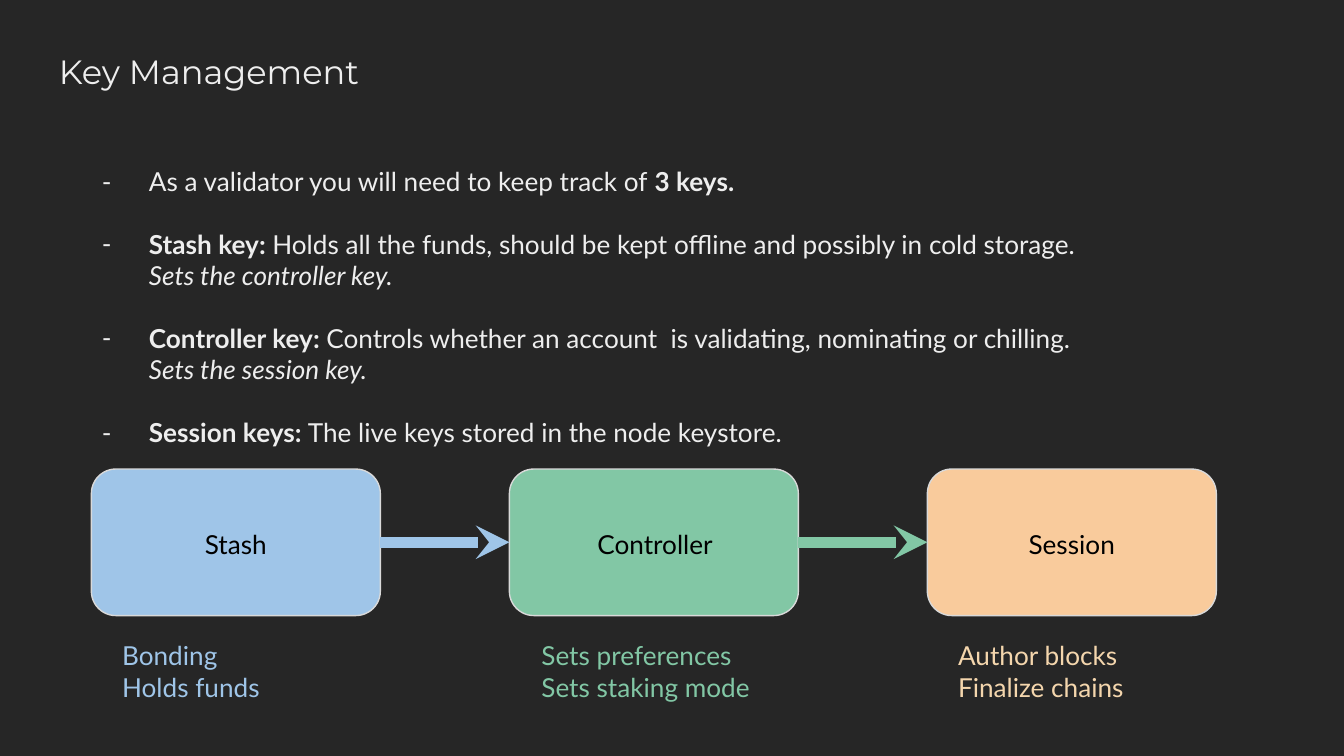
from lxml import etree
from pptx import Presentation
from pptx import util as u
from pptx.dml.color import RGBColor
from pptx.enum import shapes, text
from pptx.oxml.ns import qn


def color(hex_string):
    return RGBColor.from_string(hex_string)


def add_text(slide, box, paragraphs, font_format, hex_string, align=text.PP_ALIGN.LEFT):
    shape = slide.shapes.add_textbox(*[u.Inches(value) for value in box])
    frame = shape.text_frame
    frame_format = {"word_wrap": True, "vertical_anchor": text.MSO_ANCHOR.TOP}
    for side in ("left", "top", "right", "bottom"):
        frame_format["margin_" + side] = u.Inches(0.1)
    for name, value in frame_format.items():
        setattr(frame, name, value)
    for index, runs in enumerate(paragraphs):
        paragraph = frame.paragraphs[0] if index == 0 else frame.add_paragraph()
        paragraph.alignment = align
        for content, style in runs:
            run = paragraph.add_run()
            run.text = content
            for name, value in {**font_format, **style}.items():
                setattr(run.font, name, value)
            run.font.color.rgb = color(hex_string)
    return frame


LIGHT = "EEEEEE"
BOLD = {"bold": True}
ITALIC = {"italic": True}
TITLE_FONT = {"name": "Montserrat", "size": u.Pt(18)}
BODY_FONT = {"name": "Lato", "size": u.Pt(14)}

presentation = Presentation()
presentation.slide_width = u.Inches(10)
presentation.slide_height = u.Inches(10) * 9 // 16
slide = presentation.slides.add_slide(presentation.slide_layouts[6])
slide.background.fill.solid()
slide.background.fill.fore_color.rgb = color("262626")

add_text(slide, (0.34, 0.28, 3.87, 0.76), [[("Key Management", {})]], TITLE_FONT, LIGHT)

key_notes = [
    [("As a validator you will need to keep track of ", {}), ("3 keys.", BOLD)],
    [("Stash key: ", BOLD),
     ("Holds all the funds, should be kept offline and possibly in cold storage.", {})],
    [("Sets the controller key.", ITALIC)],
    [("Controller key: ", BOLD),
     ("Controls whether an account  is validating, nominating or chilling.", {})],
    [("Sets the session key.", ITALIC)],
    [("Session keys:", BOLD), (" The live keys stored in the node keystore.", {})],
]
notes_frame = add_text(slide, (0.51, 1.13, 9.04, 4.11), key_notes, BODY_FONT, LIGHT)
for index, (paragraph, runs) in enumerate(zip(notes_frame.paragraphs, key_notes)):
    bulleted = runs[0][1] is not ITALIC
    paragraph.space_before = u.Pt(16.8 if bulleted and index else 0)
    properties = paragraph._p.get_or_add_pPr()
    properties.set("marL", str(u.Inches(0.5)))
    properties.set("indent", str(u.Inches(-0.35 if bulleted else 0)))
    if bulleted:
        bullet_color = etree.SubElement(properties, qn("a:buClr"))
        etree.SubElement(bullet_color, qn("a:srgbClr"), val=LIGHT)
        etree.SubElement(properties, qn("a:buFont"), typeface="Lato")
        etree.SubElement(properties, qn("a:buChar"), char="-")

keys = [
    ("Stash", 1.09, "9FC5E8", 0.81, "9FC5E8", ["Bonding", "Holds funds"]),
    ("Controller", 4.21, "82C7A5", 3.93, "82C7A5", ["Sets preferences", "Sets staking mode"]),
    ("Session", 7.31, "F9CB9C", 7.03, "F4D6AD", ["Author blocks", "Finalize chains"]),
]
key_boxes = []
for index, (label, label_left, fill, duty_left, duty_color, duties) in enumerate(keys):
    shape = slide.shapes.add_shape(
        shapes.MSO_SHAPE.ROUNDED_RECTANGLE,
        u.Inches(0.68 + 3.11 * index), u.Inches(3.49), u.Inches(2.15), u.Inches(1.09))
    shape.shadow.inherit = False
    shape.fill.solid()
    shape.fill.fore_color.rgb = color(fill)
    shape.line.color.rgb = color("D9D9D9")
    shape.line.width = u.Pt(0.75)
    key_boxes.append(shape)
    add_text(slide, (label_left, 3.83, 1.33, 0.41), [[(label, {})]],
             BODY_FONT, "000000", text.PP_ALIGN.CENTER)
    add_text(slide, (duty_left, 4.66, 1.89, 0.58),
             [[(duty, {})] for duty in duties], BODY_FONT, duty_color)

for source, target, key in zip(key_boxes, key_boxes[1:], keys):
    connector = slide.shapes.add_connector(shapes.MSO_CONNECTOR.STRAIGHT, 0, 0, 0, 0)
    connector.begin_connect(source, 3)
    connector.end_connect(target, 1)
    connector.line.color.rgb = color(key[2])
    connector.line.width = u.Pt(6)
    etree.SubElement(connector.line._get_or_add_ln(), qn("a:tailEnd"), type="stealth")
    etree.SubElement(connector._element.spPr, qn("a:effectLst"))

presentation.save("out.pptx")
